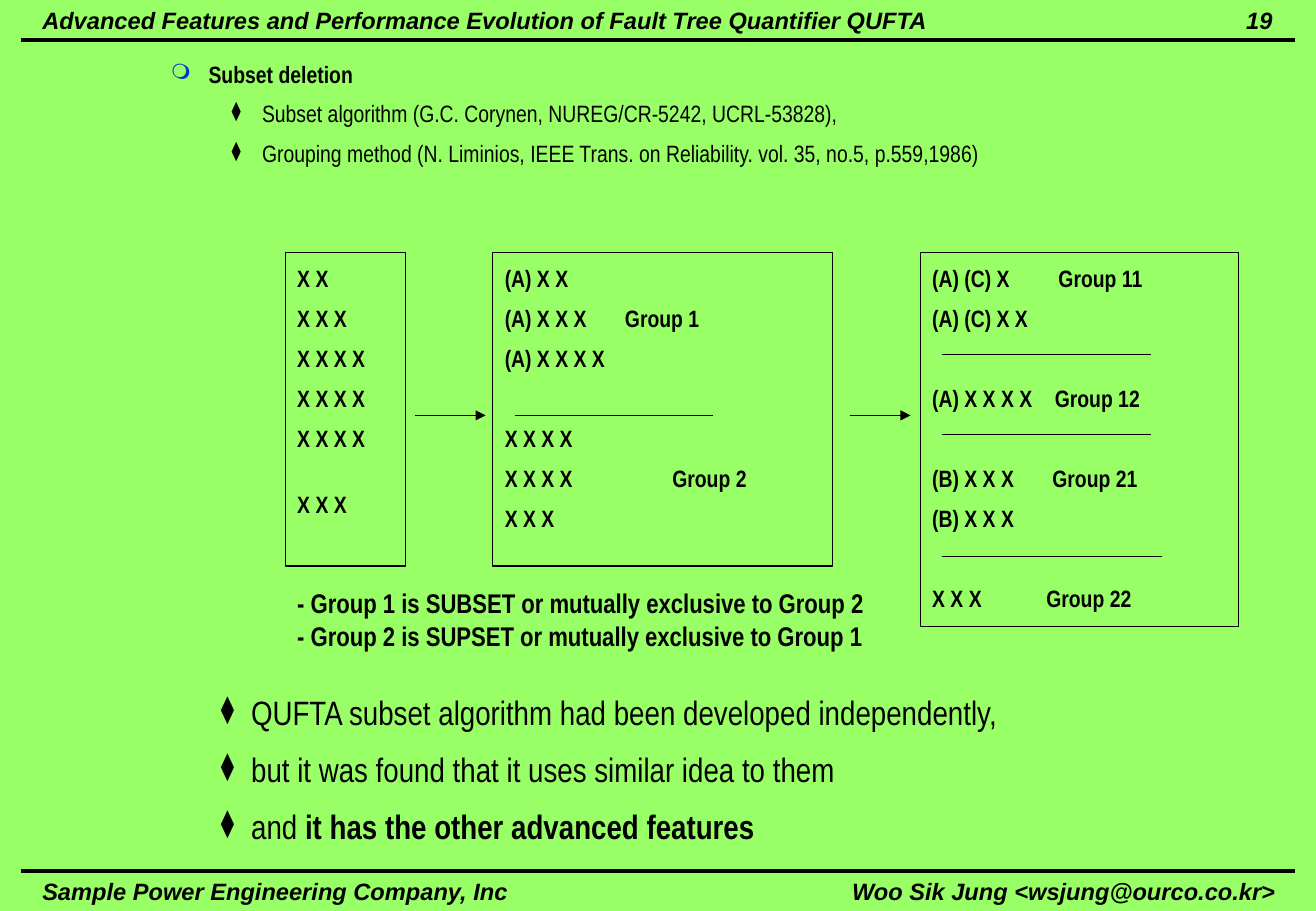
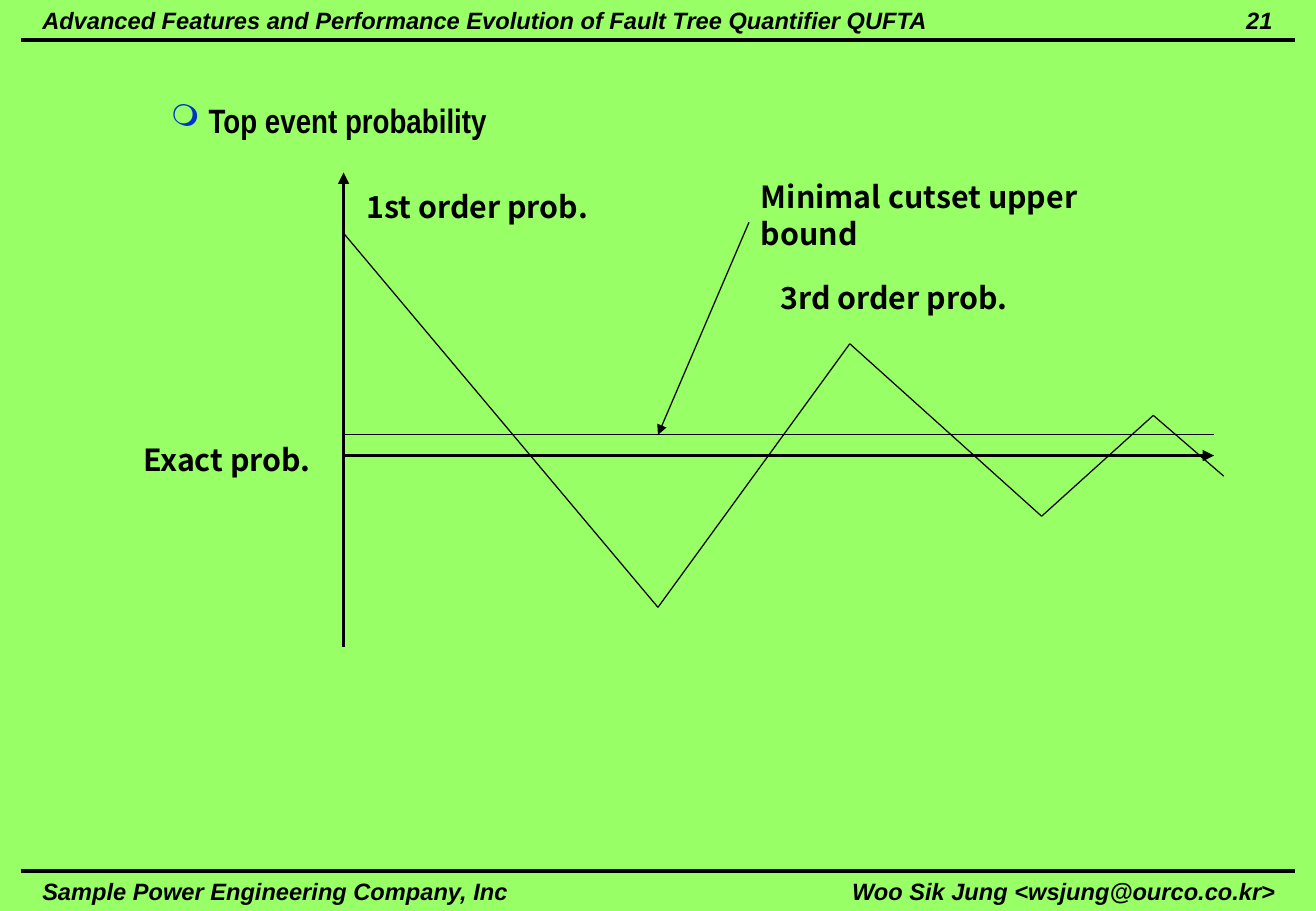
"""Build two slides on subset deletion and top event probability."""
import itertools

import lxml.etree
import pptx
import pptx.dml.color
import pptx.enum.shapes
import pptx.enum.text
import pptx.oxml.ns
import pptx.util

Inches = pptx.util.Inches
Align = pptx.enum.text.PP_ALIGN
BLACK = "000000"
HEADER = dict(font="Arial", size=14, bold=True, italic=True)
NARROW = dict(font="Arial Narrow", size=14)
LABEL = dict(font="Noto Sans CJK KR", size=18, bold=True)
RING = dict(symbol="❍", bullet_color="0033CC", bullet_size=90, margin=0.81, hang=0.31)
DIAMOND = dict(symbol="⧫", bullet_color=BLACK, bullet_size=80, margin=1.25, hang=0.25)
GROUP_LINE = dict(NARROW, bold=True, line_spacing=1.2, before=3.5)
AFTER_GAP = 27.2


def rgb(value):
    return pptx.dml.color.RGBColor.from_string(value)


def add_child(parent, tag, **attributes):
    child = lxml.etree.SubElement(parent, pptx.oxml.ns.qn(tag))
    for name, value in attributes.items():
        child.set(name, str(value))
    return child


def add_span(para, text, font, size, bold=False, italic=False, color=BLACK):
    span = para.add_run()
    span.text = text
    span.font.name = font
    span.font.size = pptx.util.Pt(size)
    span.font.bold = bold
    span.font.italic = italic
    span.font.color.rgb = rgb(color)


def add_bullet(para, symbol, bullet_color, bullet_size, margin, hang):
    properties = para._p.get_or_add_pPr()
    properties.set("marL", str(Inches(margin)))
    properties.set("indent", str(-Inches(hang)))
    add_child(add_child(properties, "a:buClr"), "a:srgbClr", val=bullet_color)
    add_child(properties, "a:buSzPct", val=bullet_size * 1000)
    add_child(properties, "a:buChar", char=symbol)


def add_text(frame, text, align=Align.LEFT, line_spacing=None, before=0,
             bullet=None, tab=None, **style):
    para = frame.paragraphs[0]
    if para.runs:
        para = frame.add_paragraph()
    para.alignment = align
    para.line_spacing = line_spacing
    para.space_before = pptx.util.Pt(before)
    if bullet:
        add_bullet(para, **bullet)
    if tab:
        stops = add_child(para._p.get_or_add_pPr(), "a:tabLst")
        add_child(stops, "a:tab", pos=Inches(tab), algn="l")
    add_span(para, text, **style)
    return para


class Presenter:
    def __init__(self):
        self.deck = pptx.Presentation()
        self.deck.slide_width = Inches(10.84)
        self.deck.slide_height = Inches(7.5)
        fill = self.deck.slide_master.background.fill
        fill.solid()
        fill.fore_color.rgb = rgb("99FF66")
        self.slide = None

    def new_slide(self, number):
        self.slide = self.deck.slides.add_slide(self.deck.slide_layouts[6])
        for y in (0.33, 7.17):
            self.line((0.17, y), (10.67, y), 2.25)
        for text, left, top, width in (
                ("Advanced Features and Performance Evolution of Fault Tree Quantifier QUFTA", 0.25, 0, 8),
                ("Sample Power Engineering Company, Inc", 0.25, 7.17, 4.17),
                ("Woo Sik Jung <wsjung@ourco.co.kr>", 6.92, 7.17, 3.75)):
            self.text(text, left, top, width, 0.33, **HEADER)
        self.text(number, 8.33, 0, 2.25, 0.5, align=Align.RIGHT, **HEADER)

    def frame(self, left, top, width, height):
        box = self.slide.shapes.add_textbox(*map(Inches, (left, top, width, height)))
        box.text_frame.word_wrap = True
        return box.text_frame

    def text(self, text, left, top, width, height, **style):
        frame = self.frame(left, top, width, height)
        add_text(frame, text, **style)
        return frame

    def line(self, start, end, weight=0.75, head=False, tail=False):
        connector = self.slide.shapes.add_connector(
            pptx.enum.shapes.MSO_CONNECTOR.STRAIGHT, *map(Inches, (*start, *end)))
        connector.line.color.rgb = rgb(BLACK)
        connector.line.width = pptx.util.Pt(weight)
        outline = connector.line._get_or_add_ln()
        if head:
            add_child(outline, "a:headEnd", type="triangle")
        if tail:
            add_child(outline, "a:tailEnd", type="triangle")
        add_child(connector._element.spPr, "a:effectLst")

    def group_box(self, left, width, height, rows):
        box = self.slide.shapes.add_shape(
            pptx.enum.shapes.MSO_SHAPE.RECTANGLE,
            *map(Inches, (left, 2.08, width, height)))
        box.shadow.inherit = False
        box.fill.background()
        box.line.color.rgb = rgb(BLACK)
        box.line.width = pptx.util.Pt(0.75)
        box.text_frame.vertical_anchor = pptx.enum.text.MSO_ANCHOR.TOP
        for text, changes in rows:
            add_text(box.text_frame, text, **{**GROUP_LINE, **changes})


def build_subset_slide(show):
    show.new_slide("19")
    frame = show.text("Subset deletion", 0.81, 0.42, 10.02, 1, bold=True,
                      bullet=RING, line_spacing=1.1, before=5, **NARROW)
    for text in ("Subset algorithm (G.C. Corynen, NUREG/CR-5242, UCRL-53828),",
                 "Grouping method (N. Liminios, IEEE Trans. on Reliability. vol. 35, no.5, p.559,1986)"):
        add_text(frame, text, bullet=DIAMOND, line_spacing=1.1, before=5, **NARROW)

    show.group_box(2.35, 0.99, 2.58, [
        ("X X", {}), ("X X X", {}), *[("X X X X", {})] * 3,
        ("X X X", dict(before=19))])
    show.group_box(4.06, 2.8, 2.58, [
        ("(A) X X", {}), ("(A) X X X\tGroup 1", dict(tab=0.99)), ("(A) X X X X", {}),
        ("X X X X", dict(before=AFTER_GAP)),
        ("X X X X\tGroup 2", dict(tab=1.38)), ("X X X", {})])
    show.group_box(7.58, 2.62, 3.08, [
        ("(A) (C) X\tGroup 11", dict(tab=1.04)), ("(A) (C) X X", {}),
        ("(A) X X X X\tGroup 12", dict(tab=1.01, before=AFTER_GAP)),
        ("(B) X X X\tGroup 21", dict(tab=0.99, before=AFTER_GAP)), ("(B) X X X", {}),
        ("X X X\tGroup 22", dict(tab=0.94, before=AFTER_GAP))])
    for left, right, y in ((4.24, 5.87, 3.42), (7.76, 9.48, 2.92),
                           (7.76, 9.48, 3.58), (7.76, 9.57, 4.58)):
        show.line((left, y), (right, y))
    for left, right in ((3.42, 4), (7, 7.5)):
        show.line((left, 3.42), (right, 3.42), tail=True)

    relations = show.frame(2.35, 4.83, 5.49, 0.58)
    for text in ("- Group 1 is SUBSET or mutually exclusive to Group 2",
                 "- Group 2 is SUPSET or mutually exclusive to Group 1"):
        add_text(relations, text, font="Arial Narrow", size=16, bold=True,
                 line_spacing=0.8, before=4)

    large = dict(NARROW, size=20)
    conclusions = show.frame(0.72, 5.58, 9.39, 1.5)
    for text in ("QUFTA subset algorithm had been developed independently,",
                 "but it was found that it uses similar idea to them", "and "):
        para = add_text(conclusions, text, bullet=DIAMOND, line_spacing=1.2,
                        before=5, **large)
    add_span(para, "it has the other advanced features", bold=True, **large)


def build_probability_slide(show):
    show.new_slide("21")
    show.text("Top event probability", 0.81, 0.67, 9.75, 0.58, bullet=RING,
              line_spacing=1.3, before=5, font="Arial Narrow", size=20, bold=True)
    show.line((2.83, 1.42), (2.83, 5.33), 2.25, head=True)
    show.line((2.83, 3.75), (10, 3.75), 2.25, tail=True)
    show.line((2.83, 3.58), (10, 3.58))
    orders = [(2.83, 1.92), (5.42, 5), (7, 2.83), (8.58, 4.25), (9.5, 3.42), (10.08, 3.92)]
    for start, end in itertools.pairwise(orders):
        show.line(start, end)
    for text, left, top, width in (("1st order prob.", 2.92, 1.5, 2.08),
                                   ("3rd order prob.", 6.33, 2.25, 2.08),
                                   ("Exact prob.", 1.08, 3.58, 1.58),
                                   ("Minimal cutset upper bound", 6.17, 1.42, 3.5)):
        show.text(text, left, top, width, 0.7, **LABEL)
    show.line((6.17, 1.83), (5.42, 3.58), tail=True)


def main():
    show = Presenter()
    build_subset_slide(show)
    build_probability_slide(show)
    show.deck.save("out.pptx")


if __name__ == "__main__":
    main()
